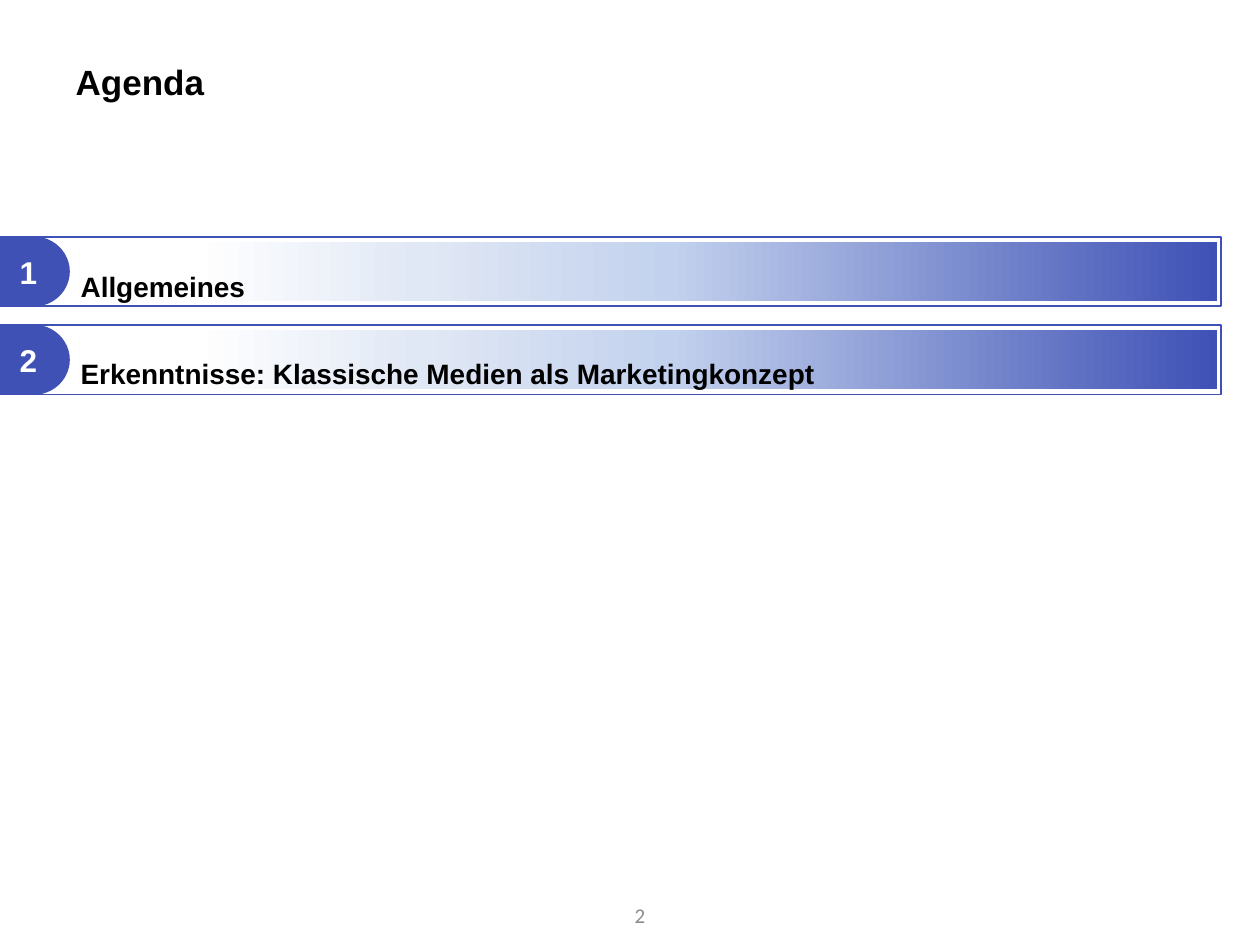
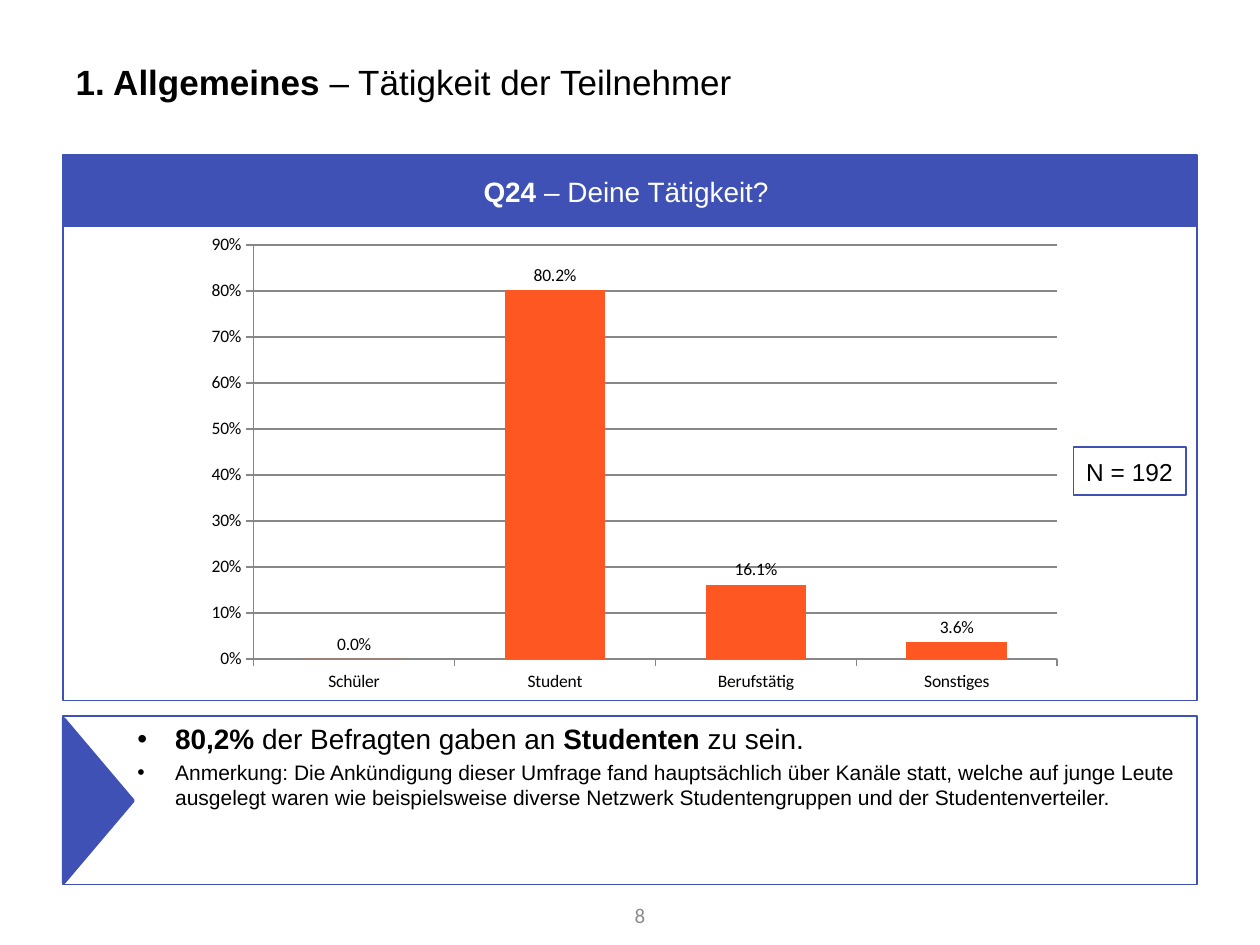
from lxml.etree import SubElement
from pptx import Presentation
from pptx.chart.data import CategoryChartData
from pptx.dml.color import RGBColor
from pptx.enum.chart import XL_CHART_TYPE, XL_LABEL_POSITION, XL_TICK_MARK
from pptx.enum.shapes import MSO_SHAPE
from pptx.enum.text import MSO_ANCHOR, MSO_AUTO_SIZE, PP_ALIGN
from pptx.oxml.ns import qn
from pptx.util import Pt

PX = 9144  # 100 px to the inch
COLORS = {
    "blue": "3F51B5", "sky": "C2D1ED", "mist": "E1E8F5", "white": "FFFFFF",
    "black": "000000", "orange": "FF5722", "grey": "8C8C8C", "axis": "878787",
}
BAR_FADE = [(0, "blue"), (48, "sky"), (70, "mist"), (90, "white")]
TITLE_BOX = (50, 30, 900, 69)
PAGE_NUMBER_BOX = (459, 706, 63, 40)
AGENDA = ["Allgemeines", "Erkenntnisse: Klassische Medien als Marketingkonzept"]
ACTIVITIES = {"Schüler": 0, "Student": 0.802, "Berufstätig": 0.161, "Sonstiges": 0.036}
FINDINGS = [
    (16, [("80,2% ", True), ("der Befragten gaben an ", False),
          ("Studenten", True), (" zu sein.", False)]),
    (12, [("Anmerkung: Die Ankündigung dieser Umfrage fand hauptsächlich über Kanäle "
           "statt, welche auf junge Leute ausgelegt waren wie beispielsweise diverse "
           "Netzwerk Studentengruppen und der Studentenverteiler.", False)]),
]


def rgb(name):
    return RGBColor.from_string(COLORS[name])


def emu(box):
    return [length * PX for length in box]


def apply(target, formats):
    for name, value in formats.items():
        setattr(target, name, value)


def place(shape, box):
    apply(shape, dict(zip(("left", "top", "width", "height"), emu(box))))


def write(paragraph, runs, size, color="black", font="Arial", align=PP_ALIGN.LEFT):
    """Fill a paragraph with (text, bold) runs."""
    paragraph.alignment = align
    for text, bold in runs:
        run = paragraph.add_run()
        run.text = text
        apply(run.font, {"name": font, "size": Pt(size), "bold": bold})
        run.font.color.rgb = rgb(color)


def outline(shape, width):
    shape.line.color.rgb = rgb("blue")
    shape.line.width = Pt(width)


def add_block(shapes, kind, box, fill=None, line=None):
    block = shapes.add_shape(kind, *emu(box))
    block.shadow.inherit = False
    if fill:
        block.fill.solid()
        block.fill.fore_color.rgb = rgb(fill)
    else:
        block.fill.background()
    if line:
        outline(block, line)
    else:
        block.line.fill.background()
    return block


def label(block, runs, size, color, wrap=True):
    apply(block.text_frame, {"vertical_anchor": MSO_ANCHOR.MIDDLE, "word_wrap": wrap})
    write(block.text_frame.paragraphs[0], runs, size, color, align=PP_ALIGN.CENTER)


def fade_to_left(block):
    """Replace the fill with the four-stop fade of the agenda bars."""
    block.fill.gradient()
    fade = block.element.spPr.find(qn("a:gradFill"))
    for child in list(fade):
        fade.remove(child)
    stops = SubElement(fade, qn("a:gsLst"))
    for percent, color in BAR_FADE:
        stop = SubElement(stops, qn("a:gs"), pos=str(percent * 1000))
        SubElement(stop, qn("a:srgbClr"), val=COLORS[color])
    SubElement(fade, qn("a:lin"), ang=str(180 * 60000), scaled="0")


def set_indent(paragraph, margin, first_line, bullet=True):
    properties = paragraph._p.get_or_add_pPr()
    properties.set("marL", str(margin * PX))
    properties.set("indent", str(first_line * PX))
    if not bullet:
        SubElement(properties, qn("a:buNone"))


def start_slide(deck, title_runs, page):
    slide = deck.slides.add_slide(deck.slide_layouts[1])
    title = slide.shapes.title
    place(title, TITLE_BOX)
    apply(title.text_frame, {"auto_size": MSO_AUTO_SIZE.NONE,
                             "vertical_anchor": MSO_ANCHOR.MIDDLE})
    write(title.text_frame.paragraphs[0], title_runs, 20)
    number = slide.shapes.add_textbox(*emu(PAGE_NUMBER_BOX)).text_frame
    apply(number, {"word_wrap": True, "vertical_anchor": MSO_ANCHOR.MIDDLE})
    write(number.paragraphs[0], [(page, False)], 12, "grey", "Calibri", PP_ALIGN.RIGHT)
    return slide


def body_paragraphs(slide, box, count):
    """Move the body placeholder to the box and give its empty paragraphs."""
    body = slide.placeholders[1]
    place(body, box)
    frame = body.text_frame
    frame.auto_size = MSO_AUTO_SIZE.NONE
    for _ in range(count - 1):
        frame.add_paragraph()
    return body, frame.paragraphs


def add_agenda_bar(slide, box, number):
    left, top, width, height = box
    bar = slide.shapes.add_group_shape().shapes
    fade_to_left(add_block(bar, MSO_SHAPE.RECTANGLE,
                           (left + 66, top + 4, width - 69, height - 8)))
    tab = add_block(bar, MSO_SHAPE.FLOWCHART_DELAY,
                    (left + 2, top + 1, 55, height - 2), "blue", 2)
    label(tab, [(str(number), True)], 18, "white")
    add_block(bar, MSO_SHAPE.RECTANGLE, box, line=0.75)


def build_agenda(deck):
    slide = start_slide(deck, [("Agenda", True)], "2")
    for index in range(len(AGENDA)):
        add_agenda_bar(slide, (-3, 188 + 70 * index, 972, 55), index + 1)
    body, paragraphs = body_paragraphs(slide, (54, 171, 861, 495), len(AGENDA))
    for paragraph, topic in zip(paragraphs, AGENDA):
        write(paragraph, [(topic, True)], 16)
        paragraph.line_spacing = 2.43
        set_indent(paragraph, 0, 0, bullet=False)
    body.element.getparent().append(body.element)  # text above the bars


def add_activity_chart(slide, box):
    shares = CategoryChartData(number_format="0.0%")
    shares.categories = list(ACTIVITIES)
    shares.add_series("Series 1", list(ACTIVITIES.values()))
    chart = slide.shapes.add_chart(XL_CHART_TYPE.COLUMN_CLUSTERED, *emu(box), shares).chart
    apply(chart, {"has_title": False, "has_legend": False})
    apply(chart.font, {"name": "Calibri", "size": Pt(10)})
    chart.font.color.rgb = rgb("black")

    plot = chart.plots[0]
    apply(plot, {"gap_width": 100, "vary_by_categories": False, "has_data_labels": True})
    apply(plot.data_labels, {"show_value": True, "number_format": "0.0%",
                             "number_format_is_linked": False,
                             "position": XL_LABEL_POSITION.OUTSIDE_END})
    columns = plot.series[0].format.fill
    columns.solid()
    columns.fore_color.rgb = rgb("orange")

    percent_axis = chart.value_axis
    apply(percent_axis, {"minimum_scale": 0, "maximum_scale": 0.9, "major_unit": 0.1,
                         "has_major_gridlines": True})
    apply(percent_axis.tick_labels, {"number_format": "0%",
                                     "number_format_is_linked": False})
    for axis in (chart.category_axis, percent_axis):
        axis.major_tick_mark = XL_TICK_MARK.OUTSIDE
        axis.format.line.color.rgb = rgb("axis")
    percent_axis.major_gridlines.format.line.color.rgb = rgb("axis")


def add_question_panel(slide, box):
    left, top, width, height = box
    add_block(slide.shapes, MSO_SHAPE.RECTANGLE, box, line=1)
    question = add_block(slide.shapes, MSO_SHAPE.RECTANGLE,
                         (left + 1, top + 1, width - 2, 55), "blue", 2)
    label(question, [("Q24 ", True), ("– Deine Tätigkeit? ", False)], 16, "white")
    add_activity_chart(slide, (left + 104, top + 56, 699, height - 56))
    sample = add_block(slide.shapes, MSO_SHAPE.RECTANGLE,
                       (left + 802, top + 232, 89, 38), line=1)
    label(sample, [("N = 192", False)], 14, "black", wrap=False)


def add_findings(slide, box):
    left, top, _, height = box
    body, paragraphs = body_paragraphs(slide, box, len(FINDINGS))
    outline(body, 1)
    for paragraph, (size, runs) in zip(paragraphs, FINDINGS):
        write(paragraph, runs, size)
        set_indent(paragraph, 79, -30)
    length, depth = height - 4, 55
    center_x, center_y = left + 28, top + height // 2
    pointer = add_block(slide.shapes, MSO_SHAPE.ISOSCELES_TRIANGLE,
                        (center_x - length // 2, center_y - depth // 2, length, depth),
                        "blue", 2)
    pointer.rotation = 90


def build_activity(deck):
    slide = start_slide(deck, [("1. Allgemeines ", True),
                               ("– Tätigkeit der Teilnehmer", False)], "8")
    add_findings(slide, (50, 568, 900, 134))
    add_question_panel(slide, (50, 123, 900, 433))


def main():
    deck = Presentation()
    apply(deck, {"slide_width": 1000 * PX, "slide_height": 750 * PX})
    build_agenda(deck)
    build_activity(deck)
    deck.save("out.pptx")


if __name__ == "__main__":
    main()
